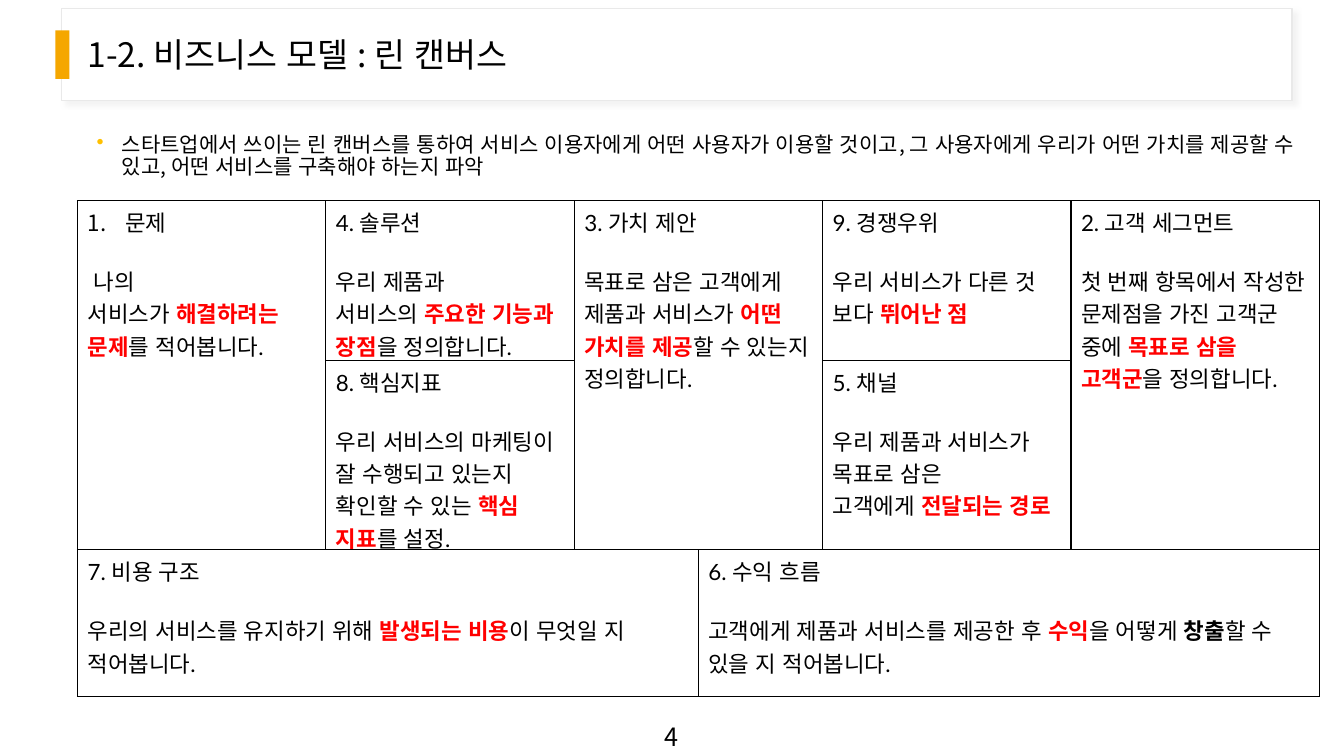
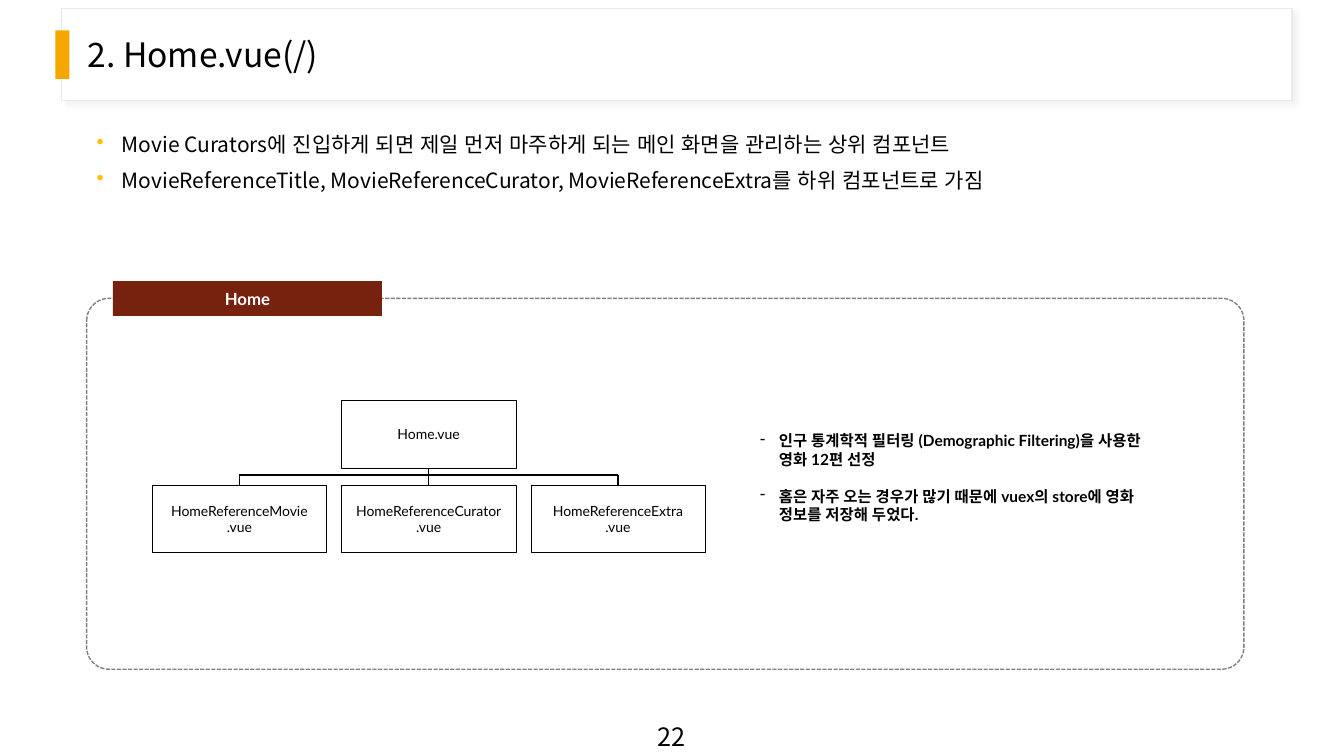
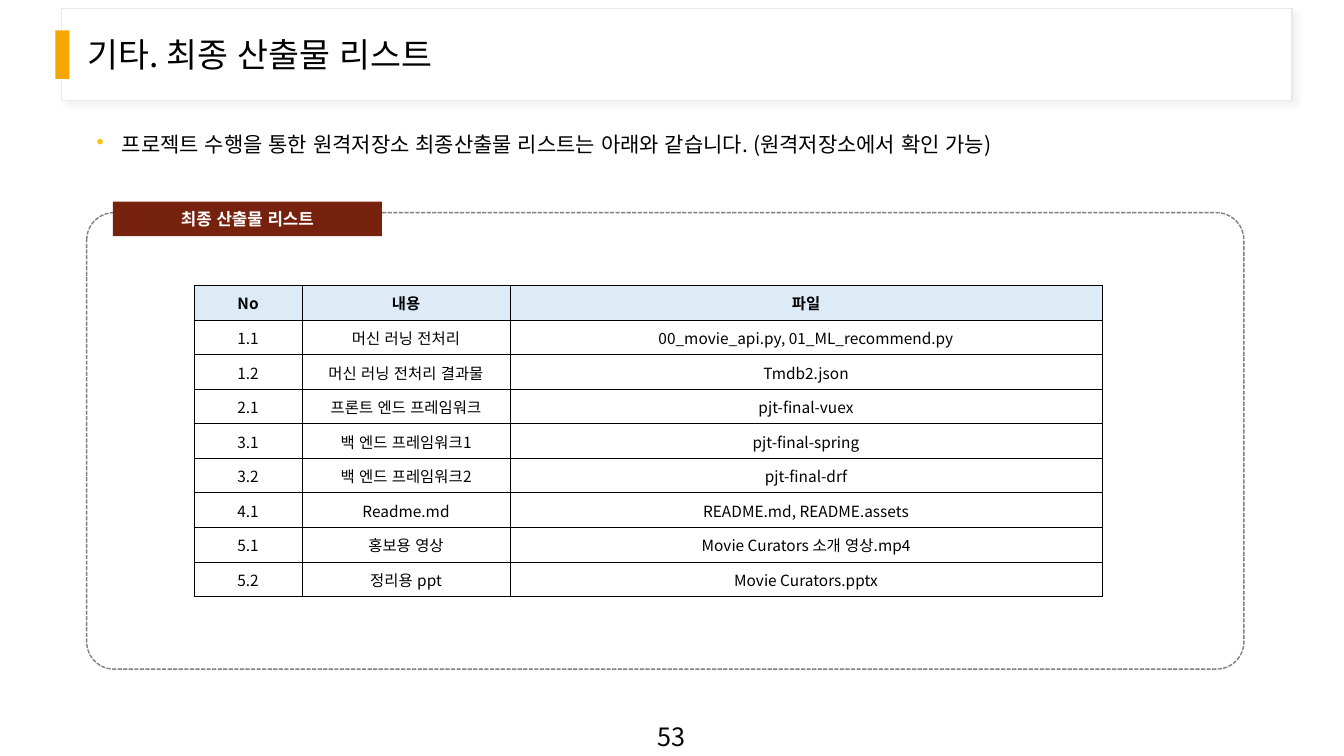
from lxml import etree
from pptx import Presentation
from pptx.dml.color import RGBColor
from pptx.enum.dml import MSO_LINE
from pptx.enum.lang import MSO_LANGUAGE_ID
from pptx.enum.shapes import MSO_CONNECTOR, MSO_SHAPE
from pptx.enum.text import MSO_ANCHOR, PP_ALIGN
from pptx.oxml.ns import qn
from pptx.util import Pt

RECT, ROUNDED = MSO_SHAPE.RECTANGLE, MSO_SHAPE.ROUNDED_RECTANGLE
STRAIGHT = MSO_CONNECTOR.STRAIGHT
SYS_DASH = MSO_LINE.SQUARE_DOT
LEFT, CENTER, JUSTIFY = PP_ALIGN.LEFT, PP_ALIGN.CENTER, PP_ALIGN.JUSTIFY
TOP, MIDDLE = MSO_ANCHOR.TOP, MSO_ANCHOR.MIDDLE
KOREAN = MSO_LANGUAGE_ID.KOREAN

NOTO, LATO = "Noto Sans CJK KR", "Lato"
BLACK, WHITE, RED = "000000", "FFFFFF", "FF0000"
ORANGE, BULLET, MAROON = "F5A700", "FFC000", "77220E"
BAND_LINE, SHADOW, DASH_LINE, HEADER = "E9E9E9", "D9D9D9", "808080", "DDEBF7"

CANVAS_WIDTHS = [177.4, 177.4, 88.7, 88.7, 177.4, 177.4]
CANVAS_HEIGHTS = [114, 135.5, 105]
CANVAS = [
    (0, 0, 2, 1, "문제",
     ["\u00a0나의 서비스가\u00a0", ("해결하려는 문제", RED), "를 적어봅니다."]),
    (0, 1, 1, 1, "4. 솔루션",
     ["우리 제품과 서비스의\u00a0", ("주요한 기능과 장점", RED), "을 정의합니다."]),
    (0, 2, 2, 2, "3. 가치 제안",
     ["목표로 삼은 고객에게 제품과 서비스가\u00a0", ("어떤 가치를 제공", RED),
      "할 수 있는지 정의합니다."]),
    (0, 4, 1, 1, "9. 경쟁우위",
     ["우리 서비스가 다른 것 보다\u00a0", ("뛰어난 점", RED)]),
    (0, 5, 2, 1, "2. 고객 세그먼트",
     ["첫 번째 항목에서 작성한 문제점을 가진 고객군 중에\u00a0",
      ("목표로 삼을 고객군", RED), "을 정의합니다."]),
    (1, 1, 1, 1, "8. 핵심지표",
     ["우리 서비스의 마케팅이 잘 수행되고 있는지 확인할 수 있는\u00a0",
      ("핵심 지표", RED), "를\u00a0설정."]),
    (1, 4, 1, 1, "5. 채널",
     ["우리 제품과 서비스가 목표로 삼은 고객에게\u00a0", ("전달되는 경로", RED)]),
    (2, 0, 1, 3, "7. 비용 구조",
     ["우리의 서비스를 유지하기 위해\u00a0", ("발생되는 비용", RED),
      "이 무엇일 지 적어봅니다."]),
    (2, 3, 1, 3, "6. 수익 흐름",
     ["고객에게 제품과 서비스를 제공한 후\u00a0", ("수익", RED), "을 어떻게\u00a0",
      ("창출", BLACK), "할 수 있을 지 적어봅니다."]),
]

FILE_WIDTHS = [77.2, 148.5, 423]
FILES = [
    ("No", "내용", "파일"),
    ("1.1", "머신 러닝 전처리", "00_movie_api.py, 01_ML_recommend.py"),
    ("1.2", "머신 러닝 전처리 결과물", "Tmdb2.json"),
    ("2.1", "프론트 엔드 프레임워크", "pjt-final-vuex"),
    ("3.1", "백 엔드 프레임워크1", "pjt-final-spring"),
    ("3.2", "백 엔드 프레임워크2", "pjt-final-drf"),
    ("4.1", "Readme.md", "README.md, README.assets"),
    ("5.1", "홍보용 영상", "Movie Curators 소개 영상.mp4"),
    ("5.2", "정리용 ppt", "Movie Curators.pptx"),
]


def rgb(value):
    return RGBColor.from_string(value)


def add_xml(parent, tag, **attrs):
    return etree.SubElement(parent, qn(tag), attrs)


def place(sp, x, y, w, h):
    sp.left, sp.top, sp.width, sp.height = Pt(x), Pt(y), Pt(w), Pt(h)


def set_margins(target, left=7.2, top=3.6, right=7.2, bottom=3.6):
    target.margin_left, target.margin_top = Pt(left), Pt(top)
    target.margin_right, target.margin_bottom = Pt(right), Pt(bottom)


def set_bullet(p, tag, indent, color=None, **attrs):
    pPr = p._p.get_or_add_pPr()
    pPr.set("marL", str(Pt(indent)))
    pPr.set("indent", str(-Pt(indent)))
    if color:
        add_xml(add_xml(pPr, "a:buClr"), "a:srgbClr", val=color)
    add_xml(pPr, tag, **attrs)


def add_run(p, text, size, font, color=BLACK, bold=False, asian=NOTO):
    r = p.add_run()
    r.text = text
    r.font.size, r.font.bold, r.font.name = Pt(size), bold, font
    r.font.color.rgb = rgb(color)
    r.font.language_id = KOREAN
    add_xml(r.font._element, "a:ea", typeface=asian)


def add_text(tf, text, size, font, align=LEFT, before=0, spacing=None, **style):
    p = tf.paragraphs[0] if not tf.paragraphs[0].runs else tf.add_paragraph()
    p.alignment = align
    if before:
        p.space_before = Pt(before)
    if spacing:
        p.line_spacing = spacing
    for part in [text] if isinstance(text, str) else text:
        if isinstance(part, str):
            add_run(p, part, size, font, **style)
        else:
            add_run(p, part[0], size, font, color=part[1], bold=True)
    return p


def add_text_box(s, x, y, w, h):
    tf = s.shapes.add_textbox(Pt(x), Pt(y), Pt(w), Pt(h)).text_frame
    tf.word_wrap = True
    set_margins(tf)
    return tf


def add_box(s, kind, x, y, w, h, fill=None, line=None, width=1):
    sp = s.shapes.add_shape(kind, Pt(x), Pt(y), Pt(w), Pt(h))
    sp.shadow.inherit = False
    if fill:
        sp.fill.solid()
        sp.fill.fore_color.rgb = rgb(fill)
    else:
        sp.fill.background()
    if line:
        sp.line.color.rgb = rgb(line)
        sp.line.width = Pt(width)
    else:
        sp.line.fill.background()
    sp.text_frame.word_wrap = True
    sp.text_frame.vertical_anchor = MIDDLE
    return sp


def add_line(s, x1, y1, x2, y2, begin=None, end=None):
    cx = s.shapes.add_connector(STRAIGHT, Pt(x1), Pt(y1), Pt(x2), Pt(y2))
    cx.line.color.rgb = rgb(BLACK)
    cx.line.width = Pt(1)
    add_xml(cx._element.spPr, "a:effectLst")
    if begin:
        cx.begin_connect(begin, 2)
    if end:
        cx.end_connect(end, 0)


def set_borders(cell, width):
    tcPr = cell._tc.get_or_add_tcPr()
    for i, tag in enumerate(("a:lnL", "a:lnR", "a:lnT", "a:lnB")):
        ln = etree.Element(qn(tag), w=str(Pt(width)))
        add_xml(add_xml(ln, "a:solidFill"), "a:srgbClr", val=BLACK)
        tcPr.insert(i, ln)


def add_grid(s, x, y, widths, heights, border):
    frame = s.shapes.add_table(len(heights), len(widths), Pt(x), Pt(y),
                               Pt(sum(widths)), Pt(sum(heights)))
    table = frame.table
    table.first_row = table.horz_banding = False
    for column, width in zip(table.columns, widths):
        column.width = Pt(width)
    for row, height in zip(table.rows, heights):
        row.height = Pt(height)
    for cell in table.iter_cells():
        cell.fill.background()
        set_borders(cell, border)
    return table


def decorate_layout(s):
    band = add_box(s, RECT, 43.9, 5.8, 879, 66.2, WHITE, BAND_LINE, 0.75)
    effects = band._element.spPr.find(qn("a:effectLst"))
    shadow = add_xml(effects, "a:outerShdw", blurRad=str(Pt(4)), dist=str(Pt(3)),
                     dir="2700000", algn="tl", rotWithShape="0")
    color = add_xml(shadow, "a:srgbClr", val=SHADOW)
    add_xml(color, "a:alpha", val="30000")
    accent = add_box(s, RECT, 39.6, 21.7, 10.1, 34.6, ORANGE)
    for i, sp in enumerate((band, accent)):
        sp._element.nvSpPr.cNvPr.set("id", str(20 + i))
        s.slide_layout.shapes._spTree.insert(2 + i, sp._element)


def add_slide(prs, title, number, bullets, bullet_width=800):
    s = prs.slides.add_slide(prs.slide_layouts[5])
    place(s.shapes.title, 55.4, 11.5, 800.6, 57.6)
    tf = s.shapes.title.text_frame
    tf.word_wrap, tf.vertical_anchor = True, MIDDLE
    set_margins(tf)
    add_text(tf, title, 24, NOTO, spacing=0.9)
    add_text(add_text_box(s, 453.6, 511.9, 52.6, 28), number, 18, NOTO, CENTER)
    tf = add_text_box(s, 61.9, 92.2, bullet_width, 111.6)
    for i, text in enumerate(bullets):
        p = add_text(tf, text, 15, NOTO, JUSTIFY, 10 if i else 0, 0.9)
        set_bullet(p, "a:buChar", 18, BULLET, char="•")
    return s


def add_panel(s, label, label_top, top, bottom=478):
    panel = add_box(s, ROUNDED, 61.9, top, 826.6, bottom - top, line=DASH_LINE)
    panel.adjustments[0] = 0.06
    panel.line.dash_style = SYS_DASH
    tag = add_box(s, RECT, 80.7, label_top, 192.2, 24.7, MAROON)
    add_text(tag.text_frame, label, 12, LATO, CENTER, color=WHITE, bold=True)


def add_component(s, x, y, lines):
    sp = add_box(s, RECT, x, y, 124.6, 48.4, WHITE, BLACK, 0.25)
    for line in lines:
        add_text(sp.text_frame, line, 10, LATO, CENTER)
    return sp


def add_canvas(s):
    table = add_grid(s, 55.4, 143.3, CANVAS_WIDTHS, CANVAS_HEIGHTS, 1)
    for row, col, rows, cols, heading, body in CANVAS:
        cell = table.cell(row, col)
        if rows > 1 or cols > 1:
            cell.merge(table.cell(row + rows - 1, col + cols - 1))
        cell.vertical_anchor = TOP
        p = add_text(cell.text_frame, heading, 16, LATO)
        if row == col == 0:
            set_bullet(p, "a:buAutoNum", 27, type="arabicPeriod")
        add_text(cell.text_frame, body, 16, LATO, before=19.2)


def add_component_tree(s):
    left, pitch, half = 108.7, 135.2, 62.3
    parent_top, bar, child_top = 285.9, 339.2, 346.4
    parent = add_component(s, left + pitch, parent_top, ["Home.vue"])
    names = ["HomeReferenceMovie", "HomeReferenceCurator", "HomeReferenceExtra"]
    centers = [left + i * pitch + half for i in range(len(names))]
    children = [add_component(s, x - half, child_top, [name, ".vue"])
                for x, name in zip(centers, names)]
    add_line(s, centers[1], bar, centers[1], child_top, parent, children[1])
    add_line(s, centers[0], bar, centers[2], bar)
    for i in (0, 2):
        add_line(s, centers[i], bar, centers[i], child_top, end=children[i])


def add_notes_list(s, notes):
    tf = add_text_box(s, 542.9, 304.6, 292.3, 100.8)
    tf.margin_left = 0
    for i, note in enumerate(notes):
        p = add_text(tf, note, 11, LATO, before=13.2 if i else 0, bold=True, asian=LATO)
        set_bullet(p, "a:buChar", 13.5, char="-")


def add_file_table(s):
    table = add_grid(s, 138.6, 203.8, FILE_WIDTHS, [24.7] * len(FILES), 0.5)
    for r, row in enumerate(FILES):
        for c, text in enumerate(row):
            cell = table.cell(r, c)
            cell.vertical_anchor = MIDDLE
            set_margins(cell, 0.7, 0.7, 0.7, 0)
            if r == 0:
                cell.fill.solid()
                cell.fill.fore_color.rgb = rgb(HEADER)
            add_text(cell.text_frame, text, 11, NOTO, CENTER, bold=r == 0)


def main():
    prs = Presentation()
    prs.slide_width, prs.slide_height = Pt(960), Pt(540)

    s = add_slide(prs, "1-2. 비즈니스 모델 : 린 캔버스", "4", [
        "스타트업에서 쓰이는 린 캔버스를 통하여 서비스 이용자에게 어떤 사용자가 "
        "이용할 것이고, 그 사용자에게 우리가 어떤 가치를 제공할 수 있고, "
        "어떤 서비스를 구축해야 하는지 파악"], 869.8)
    decorate_layout(s)
    add_canvas(s)

    s = add_slide(prs, "2. Home.vue(/)", "22", [
        "Movie Curators에 진입하게 되면 제일 먼저 마주하게 되는 메인 화면을 "
        "관리하는 상위 컴포넌트",
        "MovieReferenceTitle, MovieReferenceCurator, MovieReferenceExtra를 "
        "하위 컴포넌트로 가짐"])
    add_panel(s, "Home", 200.9, 213.1)
    add_component_tree(s)
    add_notes_list(s, [
        "인구 통계학적 필터링 (Demographic Filtering)을 사용한 영화 12편 선정",
        "홈은 자주 오는 경우가 많기 때문에 vuex의 store에 영화 정보를 저장해 두었다."])

    s = add_slide(prs, "기타. 최종 산출물 리스트", "53", [
        "프로젝트 수행을 통한 원격저장소 최종산출물 리스트는 아래와 같습니다. "
        "(원격저장소에서 확인 가능)"])
    add_panel(s, "최종 산출물 리스트", 144, 151.9)
    add_file_table(s)

    prs.save("out.pptx")


if __name__ == "__main__":
    main()
